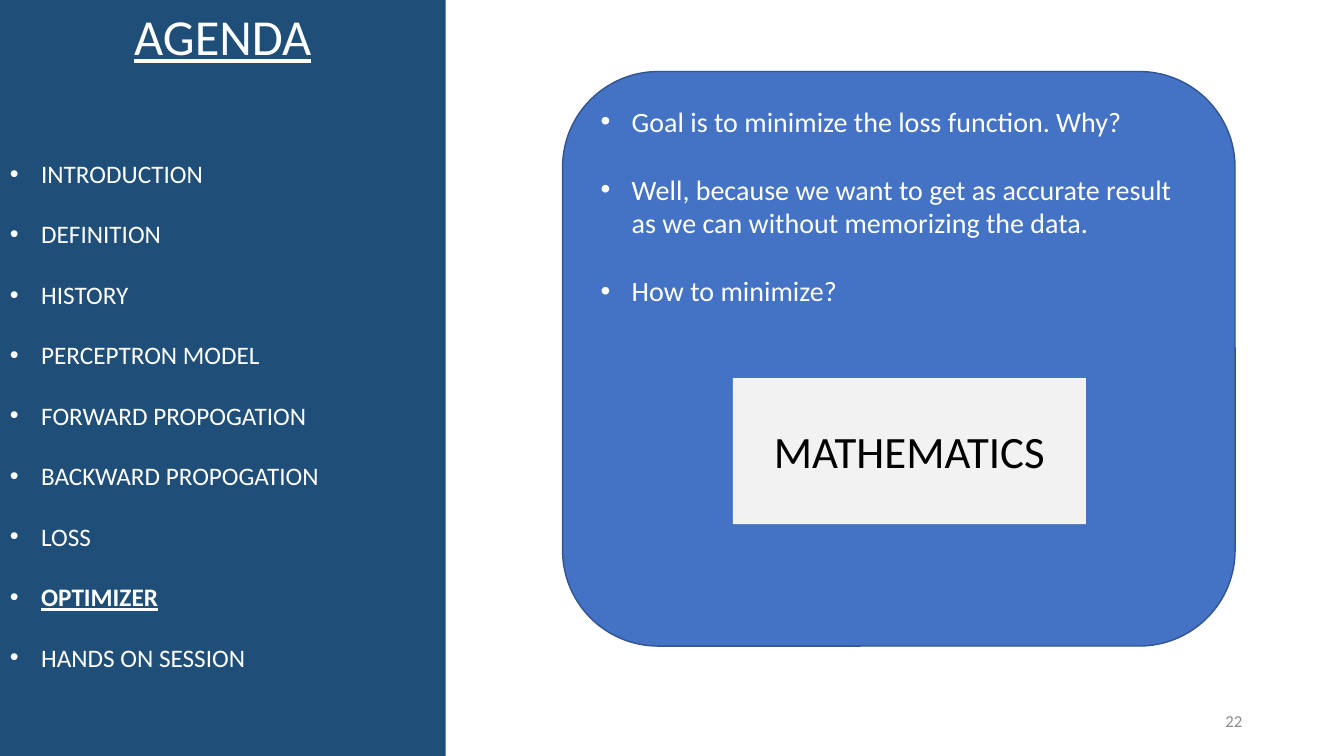
from dataclasses import dataclass

from lxml.etree import SubElement
from pptx import Presentation
from pptx.dml.color import RGBColor
from pptx.enum.shapes import MSO_SHAPE
from pptx.enum.text import MSO_ANCHOR, PP_ALIGN
from pptx.oxml.ns import qn
from pptx.shapes.autoshape import Shape
from pptx.slide import Slide
from pptx.text.text import TextFrame, _Paragraph
from pptx.util import Inches, Pt

NAVY = RGBColor(0x1F, 0x4E, 0x79)
BLUE = RGBColor(0x44, 0x72, 0xC4)
DARK_BLUE = RGBColor(0x32, 0x54, 0x91)
PALE_GRAY = RGBColor(0xF2, 0xF2, 0xF2)
GRAY = RGBColor(0x8C, 0x8C, 0x8C)
WHITE = RGBColor(0xFF, 0xFF, 0xFF)
BLACK = RGBColor(0x00, 0x00, 0x00)

AGENDA = ["INTRODUCTION", "DEFINITION", "HISTORY", "PERCEPTRON MODEL",
          "FORWARD PROPOGATION", "BACKWARD PROPOGATION", "LOSS",
          "OPTIMIZER", "HANDS ON SESSION"]
CURRENT = "OPTIMIZER"
POINTS = ["Goal is to minimize the loss function. Why?",
          "Well, because we want to get as accurate result as we can "
          "without memorizing the data.",
          "How to minimize?"]


@dataclass(frozen=True)
class Box:
    left: float
    top: float
    width: float
    height: float
    fill: RGBColor
    preset: MSO_SHAPE = MSO_SHAPE.RECTANGLE
    line: RGBColor | None = None


PANEL = Box(0, 0, 4.42, 7.5, NAVY)
CARD = Box(5.58, 0.71, 6.67, 5.7, BLUE, MSO_SHAPE.ROUNDED_RECTANGLE, DARK_BLUE)
ANSWER = Box(7.27, 3.75, 3.5, 1.45, PALE_GRAY)


def add_box(slide: Slide, box: Box) -> Shape:
    sp = slide.shapes.add_shape(box.preset, Inches(box.left), Inches(box.top),
                                Inches(box.width), Inches(box.height))
    sp.shadow.inherit = False
    sp.fill.solid()
    sp.fill.fore_color.rgb = box.fill
    if box.line is None:
        sp.line.fill.background()
    else:
        sp.line.color.rgb = box.line
        sp.line.width = Pt(1)
    return sp


def style(p: _Paragraph, size: float, color: RGBColor, align: PP_ALIGN) -> None:
    p.alignment = align
    for r in p.runs:
        r.font.name = "Calibri"
        r.font.size = Pt(size)
        r.font.color.rgb = color


def write_line(tf: TextFrame, text: str, size: float, color: RGBColor,
               align: PP_ALIGN) -> None:
    tf.text = text
    tf.word_wrap = True
    tf.vertical_anchor = MSO_ANCHOR.MIDDLE
    style(tf.paragraphs[0], size, color, align)


def write_bullets(tf: TextFrame, items: list[str], size: float) -> None:
    tf.text = "\n".join(items)
    tf.word_wrap = True
    tf.vertical_anchor = MSO_ANCHOR.TOP
    for p in tf.paragraphs:
        pPr = p._p.get_or_add_pPr()
        pPr.set("marL", str(Inches(0.31)))
        pPr.set("indent", str(-Inches(0.31)))
        SubElement(pPr, qn("a:buFont")).set("typeface", "Arial")
        SubElement(pPr, qn("a:buChar")).set("char", "•")
        style(p, size, WHITE, PP_ALIGN.LEFT)


def main() -> None:
    prs = Presentation()
    prs.slide_width, prs.slide_height = Inches(13.33), Inches(7.5)
    slide = prs.slides.add_slide(prs.slide_layouts[5])

    panel = add_box(slide, PANEL)
    panel.text_frame.margin_top = Inches(1.27)
    write_bullets(panel.text_frame, AGENDA, 18)
    for p in panel.text_frame.paragraphs:
        p.line_spacing = 2.0
        if p.text == CURRENT:
            p.runs[0].font.bold = p.runs[0].font.underline = True

    title = slide.shapes.title
    title.element.addprevious(panel.element)  # panel lies behind the title
    title.left, title.top = Inches(0), Inches(0)
    title.width, title.height = Inches(PANEL.width), Inches(0.71)
    write_line(title.text_frame, "AGENDA", 36, WHITE, PP_ALIGN.CENTER)
    title.text_frame.paragraphs[0].runs[0].font.underline = True

    card = add_box(slide, CARD)
    write_bullets(card.text_frame, POINTS, 20)
    for p in card.text_frame.paragraphs[1:]:
        p.space_before = Pt(24.4)

    answer = add_box(slide, ANSWER)
    write_line(answer.text_frame, "MATHEMATICS", 32, BLACK, PP_ALIGN.CENTER)

    number = slide.shapes.add_textbox(Inches(9.42), Inches(6.95),
                                      Inches(3), Inches(0.4))
    write_line(number.text_frame, "22", 12, GRAY, PP_ALIGN.RIGHT)

    prs.save("out.pptx")


if __name__ == "__main__":
    main()
